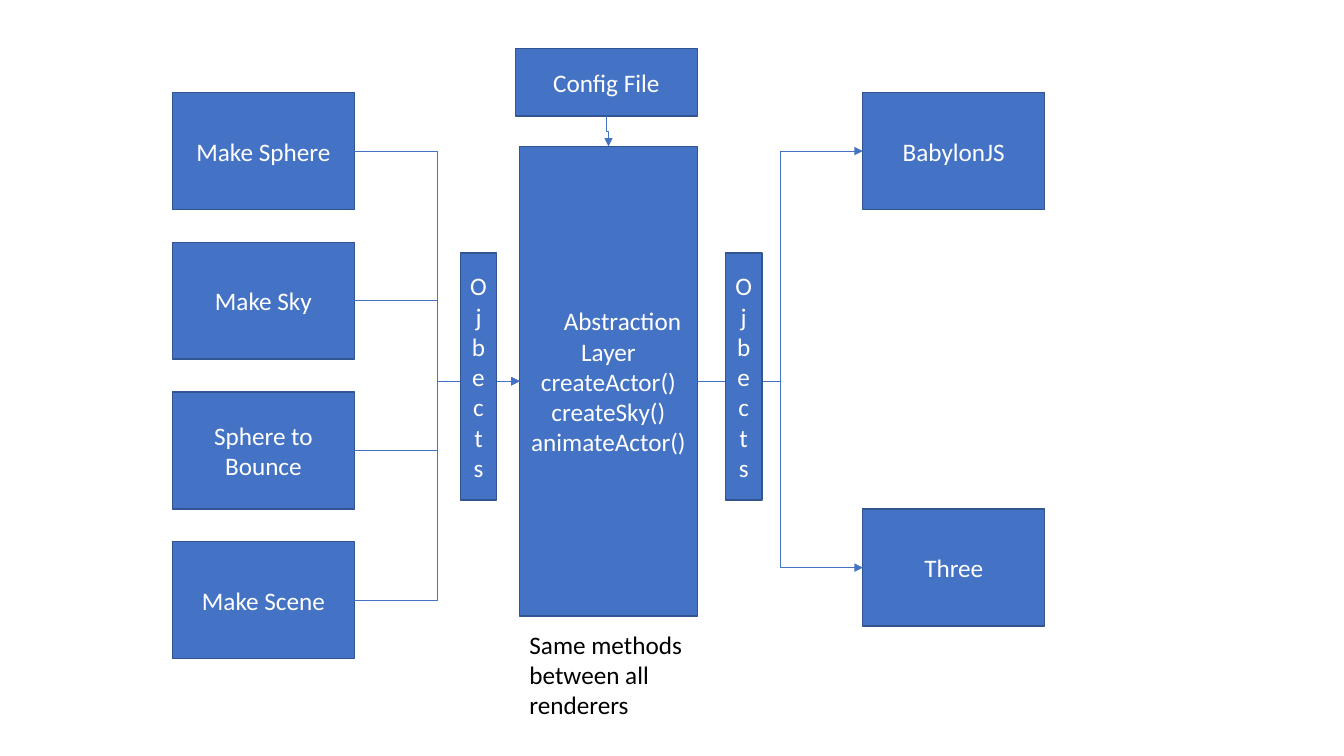
from dataclasses import dataclass

import pptx
import pptx.dml.color
import pptx.enum.shapes
import pptx.enum.text
import pptx.oxml
import pptx.oxml.ns
import pptx.shapes.autoshape
import pptx.shapes.connector
import pptx.slide
import pptx.text.text
import pptx.util

FONT = "Calibri"
BLUE, OUTLINE, WHITE, BLACK = "4472C4", "325491", "FFFFFF", "000000"
TOP, LEFT, BOTTOM, RIGHT = range(4)


@dataclass
class Box:
    """A labelled rectangle, measured in points."""
    left: float
    top: float
    width: float
    height: float
    lines: list[str]
    first_indent: float = 0


def colour(value: str) -> pptx.dml.color.RGBColor:
    return pptx.dml.color.RGBColor.from_string(value)


def write(frame: pptx.text.text.TextFrame, lines: list[str], text_colour: str,
          align: pptx.enum.text.PP_ALIGN) -> None:
    frame.word_wrap = True
    for index, line in enumerate(lines):
        para = frame.paragraphs[0] if index == 0 else frame.add_paragraph()
        para.alignment = align
        span = para.add_run()
        span.text = line
        span.font.name = FONT
        span.font.size = pptx.util.Pt(18)
        span.font.color.rgb = colour(text_colour)


def draw_box(page: pptx.slide.Slide, box: Box) -> pptx.shapes.autoshape.Shape:
    shape = page.shapes.add_shape(
        pptx.enum.shapes.MSO_SHAPE.RECTANGLE,
        pptx.util.Pt(box.left), pptx.util.Pt(box.top),
        pptx.util.Pt(box.width), pptx.util.Pt(box.height))
    shape.shadow.inherit = False
    shape.fill.solid()
    shape.fill.fore_color.rgb = colour(BLUE)
    shape.line.color.rgb = colour(OUTLINE)
    shape.line.width = pptx.util.Pt(1)
    frame = shape.text_frame
    frame.vertical_anchor = pptx.enum.text.MSO_ANCHOR.MIDDLE
    write(frame, box.lines, WHITE, pptx.enum.text.PP_ALIGN.CENTER)
    if box.first_indent:
        properties = frame.paragraphs[0]._p.get_or_add_pPr()
        properties.set("indent", str(pptx.util.Pt(box.first_indent)))
    return shape


def draw_arrow(page: pptx.slide.Slide, start: pptx.shapes.autoshape.Shape, start_side: int,
               end: pptx.shapes.autoshape.Shape,
               end_side: int) -> pptx.shapes.connector.Connector:
    arrow = page.shapes.add_connector(pptx.enum.shapes.MSO_CONNECTOR.ELBOW, 0, 0, 0, 0)
    arrow.begin_connect(start, start_side)
    arrow.end_connect(end, end_side)
    arrow.line.color.rgb = colour(BLUE)
    arrow.line.width = pptx.util.Pt(0.5)
    head = pptx.oxml.parse_xml(
        f'<a:tailEnd {pptx.oxml.ns.nsdecls("a")} type="triangle"/>')
    arrow.line._get_or_add_ln().append(head)
    effects = pptx.oxml.parse_xml(f'<a:effectLst {pptx.oxml.ns.nsdecls("a")}/>')
    arrow._element.spPr.append(effects)
    return arrow


def turn_downward(arrow: pptx.shapes.connector.Connector) -> None:
    """Make an elbow that runs down and to the right leave and arrive vertically."""
    across, down = arrow.width, arrow.height
    arrow.left += (across - down) // 2
    arrow.top += (down - across) // 2
    arrow.width, arrow.height = down, across
    frame = arrow._element.spPr.find(pptx.oxml.ns.qn("a:xfrm"))
    frame.set("rot", "16200000")
    frame.set("flipH", "1")


def main() -> None:
    deck = pptx.Presentation()
    deck.slide_width, deck.slide_height = pptx.util.Pt(960), pptx.util.Pt(540)
    page = deck.slides.add_slide(deck.slide_layouts[6])

    # Boxes: inputs, abstraction layer, renderers and configuration
    box_width, box_height, first_top, step = 130, 83.5, 66.2, 106.9
    inputs = [
        draw_box(page, Box(123.2, first_top + row * step, box_width, box_height, [label]))
        for row, label in enumerate(
            ["Make Sphere", "Make Sky", "Sphere to Bounce", "Make Scene"])]
    layer = draw_box(page, Box(
        371.1, 104.6, 127, 335.4,
        ["Abstraction Layer", "createActor()", "createSky()", "animateActor()"],
        first_indent=20))
    renderers = [
        draw_box(page, Box(616.3, top, box_width, box_height, [label]))
        for label, top in [("BabylonJS", first_top), ("Three", 363.7)]]
    config = draw_box(page, Box(368.1, 34.5, box_width, 48.3, ["Config File"]))

    # Arrows
    for source in inputs:
        draw_arrow(page, source, RIGHT, layer, LEFT)
    for renderer in renderers:
        draw_arrow(page, layer, RIGHT, renderer, LEFT)
    turn_downward(draw_arrow(page, config, BOTTOM, layer, TOP))

    # Narrow bars over the arrows, one letter to a line
    for left in (328.8, 518.2):
        draw_box(page, Box(left, 180.8, 26, 176.4, ["Ojbects"]))

    # Caption
    caption = page.shapes.add_textbox(
        pptx.util.Pt(371.1), pptx.util.Pt(445.7), pptx.util.Pt(127), pptx.util.Pt(72.7))
    write(caption.text_frame, ["Same methods between all renderers"], BLACK,
          pptx.enum.text.PP_ALIGN.LEFT)

    deck.save("out.pptx")


if __name__ == "__main__":
    main()
